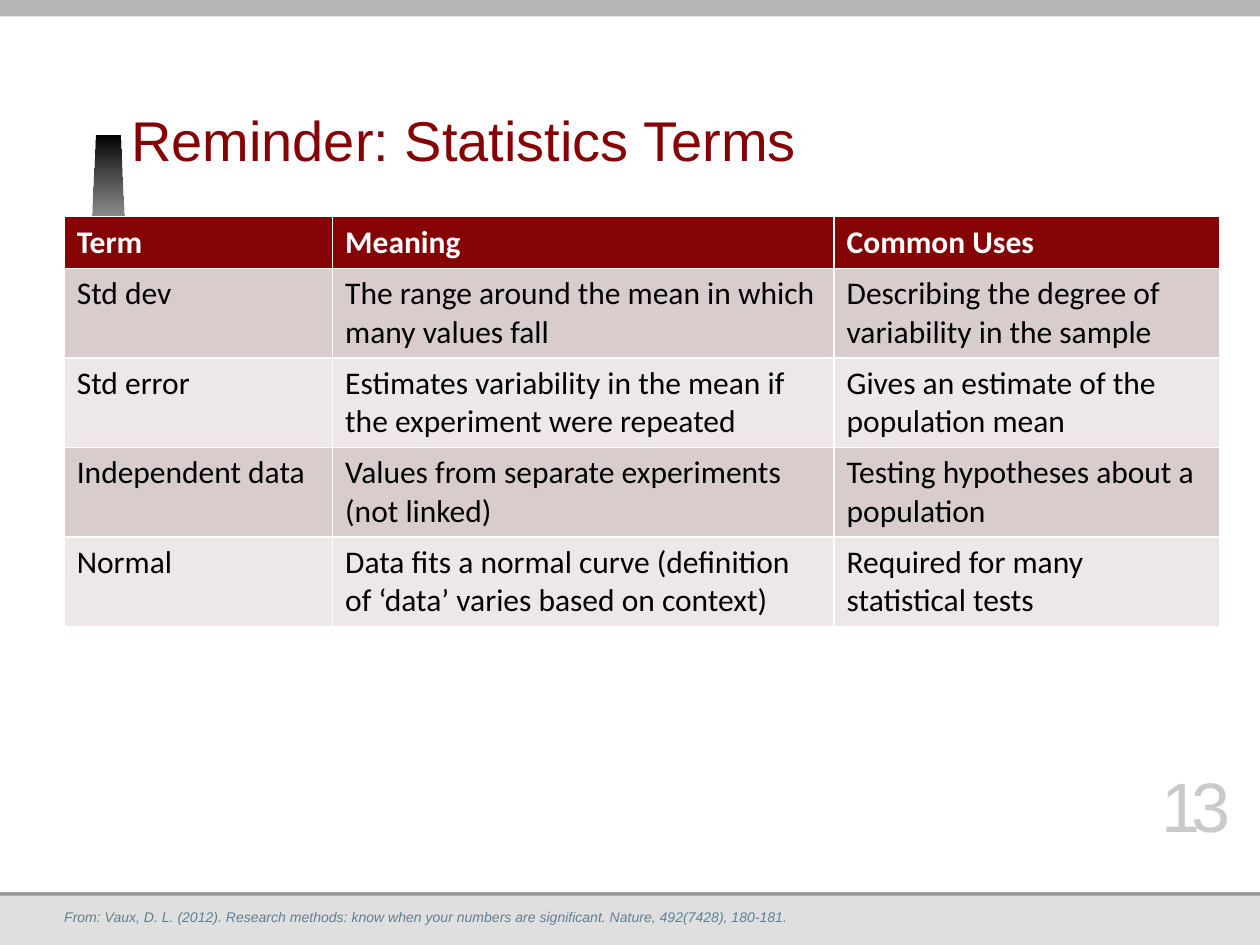
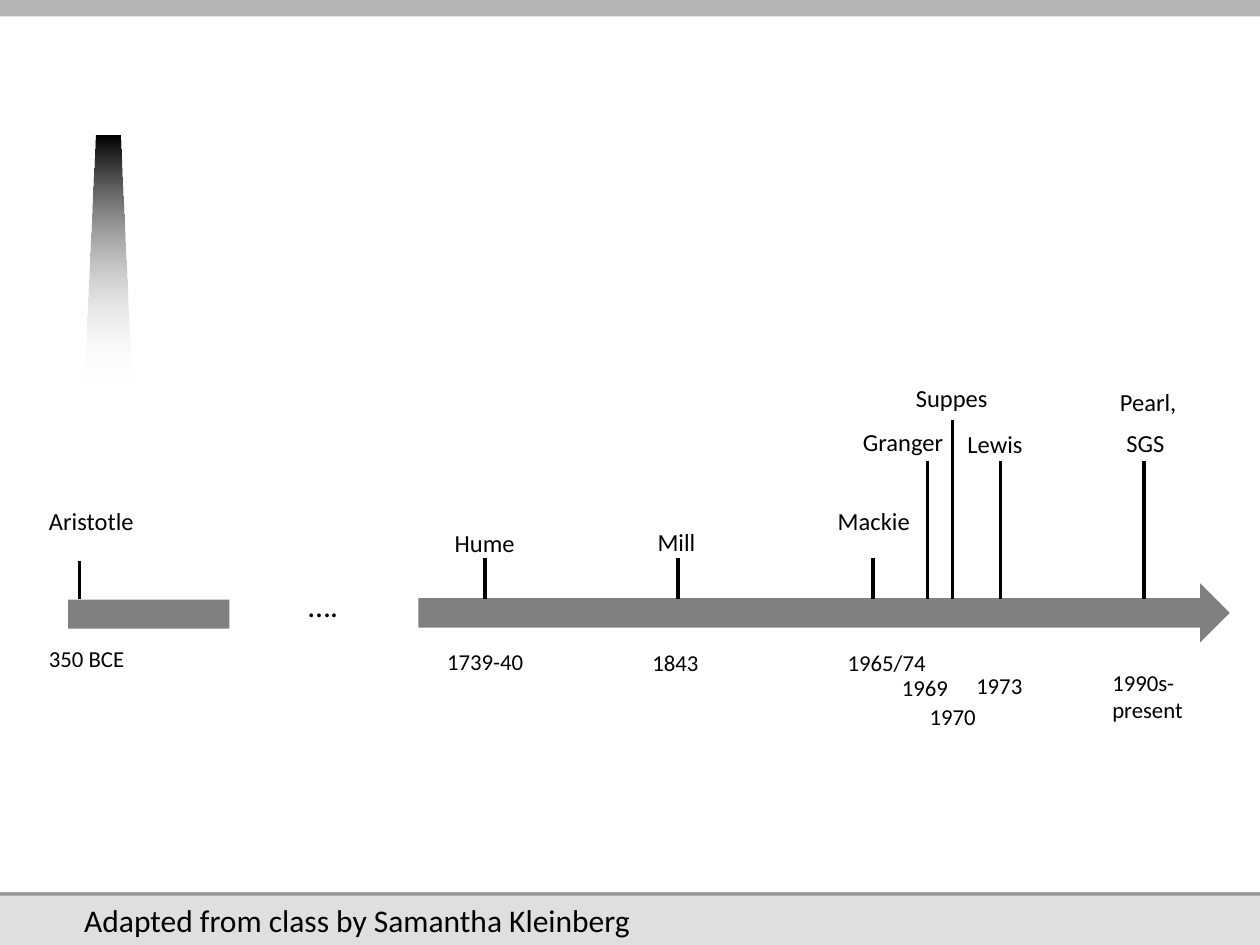
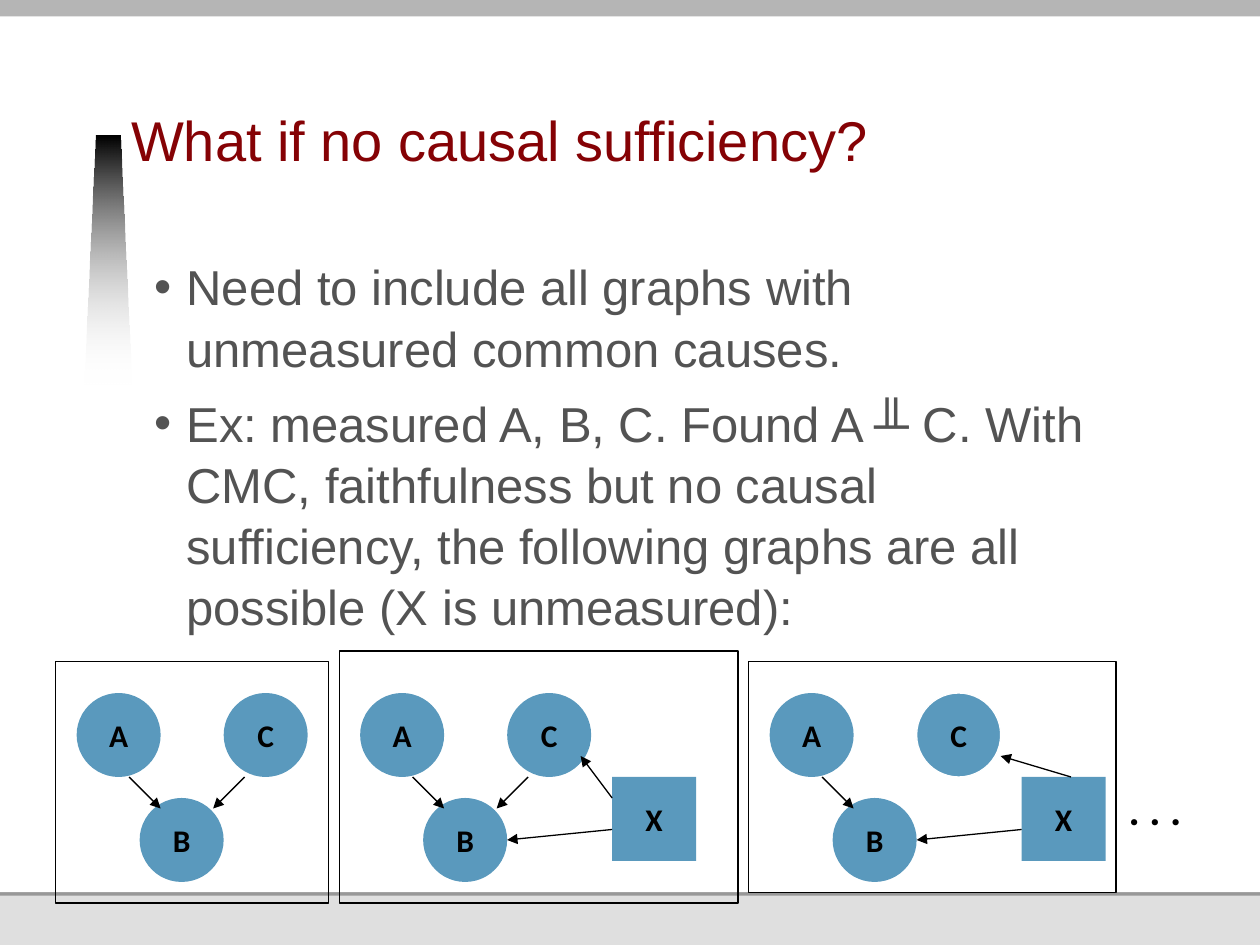
from itertools import accumulate

from pptx import Presentation
from pptx import util as u
from pptx.dml import color
from pptx.enum import shapes, text
from pptx.oxml import ns
from lxml import etree

CELL = u.Inches(0.1)
GRAPH_CELL = u.Inches(1) / 12
BLACK, WHITE, MAROON, GRAY, BLUE = "000000", "FFFFFF", "850205", "808080", "5A99BD"
BODY_GRAY = "535353"
RECTANGLE = shapes.MSO_SHAPE.RECTANGLE
OVAL = shapes.MSO_SHAPE.OVAL

TITLE_BOX = (10.4, 3.4, 68.7, 10.8)
BODY_BOX = (12.3, 20.2, 77.1, 47.9)
BANDS = [
    ((0, 0, 100, 75), "DFDFDF"),
    ((0, 17.8, 100, 53.3), "989898"),
    ((0, 0, 100, 70.8), WHITE),
    ((0, 0, 79, 1.1), "989898"),
]
TOP_BAND = ((0, -0.4, 101.7, 1.7), "B5B5B5")
BEAM = [(6.7, 30.5), (7.6, 10.8), (9.5, 10.8), (10.4, 30.5)]

TERMS = [
    ("Term", "Meaning", "Common Uses"),
    ("Std dev", "The range around the mean in which many values fall",
     "Describing the degree of variability in the sample"),
    ("Std error", "Estimates variability in the mean if the experiment were repeated",
     "Gives an estimate of the population mean"),
    ("Independent data", "Values from separate experiments (not linked)",
     "Testing hypotheses about a population"),
    ("Normal", "Data fits a normal curve (definition of ‘data’ varies based on context)",
     "Required for many statistical tests"),
]
TERM_COLUMNS = (21.3, 39.8, 30.6)
TERM_ROW = 4.1

TICKS = [
    (6.3, 44.5), (38.5, 44.3), (53.8, 44.3), (69.3, 44.3),
    (73.6, 36.6), (75.6, 33.3), (79.4, 36.6), (90.8, 36.6),
]
TICK_BASE = 47.5
THINKERS = [
    ("Aristotle", 2.9, 39.7, 8.9), ("Hume", 35.1, 41.4, 6.8), ("Mill", 51.2, 41.3, 5.1),
    ("Mackie", 65.5, 39.7, 7.8), ("Granger", 67.5, 33.4, 8.5), ("Suppes", 71.7, 29.9, 7.8),
    ("Lewis", 75.8, 33.6, 6.4), ("Pearl,", 87.9, 30.2, 6.6), ("SGS", 88.4, 33.5, 5.1),
]
DATES = [
    ("350 BCE", 2.9, 50.7, 8.1), ("1739-40", 34.5, 50.9, 8.1), ("1843", 50.8, 51, 5.7),
    ("1965/74", 66.3, 51, 8.3), ("1969", 70.6, 53, 5.7), ("1970", 72.8, 55.3, 5.7),
    ("1973", 76.5, 52.8, 5.7), ("1990s-\npresent", 87.3, 52.6, 7.7),
]

NODE_SIZE = 8
NODES = {"A": (2, 3), "B": (8, 13), "C": (16, 3), "X": (26, 11)}
A_TO_B = (7, 11, 10, 14)
C_TO_B = (18, 11, 15, 14)
X_TO_B = (26, 16, 16, 17)
GRAPHS = [
    {"frame": (0, 26, 23), "nodes": "ABC", "edges": [A_TO_B, C_TO_B], "outlined": ""},
    {"frame": (-1, 38, 24), "nodes": "ABCX",
     "edges": [A_TO_B, C_TO_B, (26, 13, 23, 9), X_TO_B], "outlined": ""},
    {"frame": (0, 35, 22), "nodes": "ABCX",
     "edges": [A_TO_B, X_TO_B, (30.7, 11, 24, 9)], "outlined": "C"},
]
GRAPHS_ORIGIN = (5.3, 63)


def rgb(value):
    return color.RGBColor.from_string(value)


def place(box, cell=CELL):
    return [round(length * cell) for length in box]


def apply(target, values):
    for name, value in values.items():
        setattr(target, name, value)


def write(frame, content, size, colour, font="Calibri", margins=None, frame_format=None,
          paragraph_format=None, **font_format):
    if margins is not None:
        sides = ("margin_left", "margin_top", "margin_right", "margin_bottom")
        apply(frame, dict(zip(sides, place(margins))))
    apply(frame, frame_format or {})
    frame.text = content
    for paragraph in frame.paragraphs:
        apply(paragraph, paragraph_format or {})
        for run in paragraph.runs:
            apply(run.font, {"size": u.Pt(size), "name": font, **font_format})
            run.font.color.rgb = rgb(colour)


def add_label(slide, box, content, size, **formats):
    frame = slide.shapes.add_textbox(*place(box)).text_frame
    fitted = {"word_wrap": False, "auto_size": text.MSO_AUTO_SIZE.SHAPE_TO_FIT_TEXT}
    write(frame, content, size, BLACK, frame_format=fitted, **formats)


def add_block(slide, kind, box, fill=None, line=None, cell=CELL):
    shape = slide.shapes.add_shape(kind, *place(box, cell))
    shape.shadow.inherit = False
    if fill:
        shape.fill.solid()
        shape.fill.fore_color.rgb = rgb(fill)
    else:
        shape.fill.background()
    if line:
        shape.line.color.rgb = rgb(line)
        shape.line.width = u.Pt(0.75)
    else:
        shape.line.fill.background()
    return shape


def add_line(slide, ends, width, arrow=False, cell=CELL):
    line = slide.shapes.add_connector(shapes.MSO_CONNECTOR.STRAIGHT, *place(ends, cell))
    line.line.color.rgb = rgb(BLACK)
    line.line.width = u.Pt(width)
    properties = line.element.spPr
    if arrow:
        outline = properties.find(ns.qn("a:ln"))
        etree.SubElement(outline, ns.qn("a:tailEnd"), type="triangle")
    etree.SubElement(properties, ns.qn("a:effectLst"))


def add_beam(slide):
    points = [place(point) for point in BEAM]
    builder = slide.shapes.build_freeform(*points[0], scale=1.0)
    builder.add_line_segments(points[1:], close=True)
    beam = builder.convert_to_shape()
    beam.shadow.inherit = False
    beam.line.fill.background()
    beam.fill.gradient()
    beam.fill.gradient_angle = 270
    for stop, shade in zip(beam.fill.gradient_stops, (BLACK, WHITE)):
        stop.color.rgb = rgb(shade)
    gradient = beam.element.spPr.find(ns.qn("a:gradFill"))
    last = gradient.findall(".//" + ns.qn("a:srgbClr"))[-1]
    etree.SubElement(last, ns.qn("a:alpha"), val="0")
    return beam


def decorate_master(presentation, slide):
    parts = [add_block(slide, RECTANGLE, box, fill) for box, fill in BANDS]
    parts.append(add_beam(slide))
    parts.append(add_block(slide, RECTANGLE, *TOP_BAND))
    tree = presentation.slide_master.element.cSld.spTree
    for part in parts:
        tree.append(part.element)


def position(shape, box):
    apply(shape, dict(zip(("left", "top", "width", "height"), place(box))))


def fill_title(slide, content):
    title = slide.shapes.title
    position(title, TITLE_BOX)
    write(title.text_frame, content, 32, MAROON, "Arial", margins=(0, 0, 0, 0.5),
          frame_format={"vertical_anchor": text.MSO_ANCHOR.BOTTOM,
                        "auto_size": text.MSO_AUTO_SIZE.NONE},
          paragraph_format={"alignment": text.PP_ALIGN.LEFT, "line_spacing": u.Pt(34)})


def fill_body(slide, items):
    body = slide.placeholders[1]
    position(body, BODY_BOX)
    write(body.text_frame, "\n".join(items), 28, BODY_GRAY, "Arial", margins=(0, 0, 0, 0.5),
          frame_format={"auto_size": text.MSO_AUTO_SIZE.NONE},
          paragraph_format={"space_before": u.Pt(0), "space_after": u.Pt(8),
                            "line_spacing": 1.04})
    indent = u.Inches(0.25)
    for paragraph in body.text_frame.paragraphs:
        properties = paragraph._p.get_or_add_pPr()
        properties.set("marL", str(indent))
        properties.set("indent", str(-indent))


def add_terms_table(slide, left, top):
    box = (left, top, sum(TERM_COLUMNS), TERM_ROW * len(TERMS))
    table = slide.shapes.add_table(len(TERMS), len(TERM_COLUMNS), *place(box)).table
    for column, width in zip(table.columns, place(TERM_COLUMNS)):
        column.width = width
    for row, entries in enumerate(TERMS):
        header = row == 0
        fill = MAROON if header else ("EDE7E7", "D9CCCC")[row % 2]
        for column, entry in enumerate(entries):
            cell = table.cell(row, column)
            cell.fill.solid()
            cell.fill.fore_color.rgb = rgb(fill)
            write(cell.text_frame, entry, 18, WHITE if header else BLACK, bold=header)


def add_citation(slide, box, content):
    frame = slide.shapes.add_textbox(*place(box)).text_frame
    write(frame, content, 8, "618091", "Arial", margins=(0, 0, 0, 0),
          frame_format={"word_wrap": True}, italic=True)


def add_page_number(slide, box, number):
    frame = slide.shapes.add_textbox(*place(box)).text_frame
    write(frame, number, 40, "CACACA", "Arial", margins=(0, 0, 0, 0),
          frame_format={"word_wrap": True, "vertical_anchor": text.MSO_ANCHOR.BOTTOM},
          paragraph_format={"alignment": text.PP_ALIGN.CENTER})
    frame.paragraphs[0].runs[0]._r.get_or_add_rPr().set("spc", "-500")


def add_timeline(slide):
    add_block(slide, shapes.MSO_SHAPE.RIGHT_ARROW, (33.2, 46.3, 64.4, 4.7), GRAY)
    for x, top in TICKS:
        add_line(slide, (x, TICK_BASE, x, top), 2)
    for labels, size, height in ((THINKERS, 14, 3.4), (DATES, 13, 3.2)):
        for content, left, top, width in labels:
            lines = content.count("\n")
            add_label(slide, (left, top, width, height + 2.2 * lines), content, size)
    add_block(slide, RECTANGLE, (5.4, 47.6, 12.8, 2.3), GRAY)
    add_label(slide, (23.5, 46, 4.4, 4), "….", 18)


def add_graph(slide, left, top, graph):
    for name in graph["nodes"]:
        x, y = NODES[name]
        node = add_block(slide, RECTANGLE if name == "X" else OVAL,
                         (left + x, top + y, NODE_SIZE, NODE_SIZE), BLUE,
                         WHITE if name in graph["outlined"] else None, GRAPH_CELL)
        write(node.text_frame, name, 18, BLACK, bold=True,
              frame_format={"word_wrap": False, "vertical_anchor": text.MSO_ANCHOR.MIDDLE},
              paragraph_format={"alignment": text.PP_ALIGN.CENTER})
    for x1, y1, x2, y2 in graph["edges"]:
        ends = (left + x1, top + y1, left + x2, top + y2)
        add_line(slide, ends, 0.75, arrow=True, cell=GRAPH_CELL)
    rise, width, height = graph["frame"]
    add_block(slide, RECTANGLE, (left, top + rise, width, height), None, BLACK, GRAPH_CELL)


def add_graph_row(slide):
    left, top = GRAPHS_ORIGIN
    steps = accumulate((graph["frame"][1] + 1 for graph in GRAPHS[:-1]), initial=left)
    for start, graph in zip(steps, GRAPHS):
        add_graph(slide, start, top, graph)
    add_label(slide, (88.6, 61.7, 7.5, 5), ". . .", 24, bold=True)


def build_terms_slide(slide):
    fill_title(slide, "Reminder: Statistics Terms")
    add_terms_table(slide, 5.1, 17.2)
    add_citation(slide, (5.1, 72.1, 84.3, 1.9),
                 "From: Vaux, D. L. (2012). Research methods: know when your numbers are "
                 "significant. Nature, 492(7428), 180-181.")
    add_page_number(slide, (91.3, 61.6, 7.3, 5.6), "13")


def build_timeline_slide(slide):
    add_timeline(slide)
    add_label(slide, (5.7, 71, 45.9, 4), "Adapted from class by Samantha Kleinberg", 18)


def build_graphs_slide(slide):
    fill_title(slide, "What if no causal sufficiency?")
    fill_body(slide, [
        "Need to include all graphs with unmeasured common causes.",
        "Ex: measured A, B, C. Found A ╨ C. With CMC, faithfulness but no causal "
        "sufficiency, the following graphs are all possible (X is unmeasured):",
    ])
    add_graph_row(slide)


def main():
    presentation = Presentation()
    presentation.slide_width, presentation.slide_height = place((100, 75))
    layouts = presentation.slide_layouts
    terms, timeline, graphs = [
        presentation.slides.add_slide(layouts.get_by_name(name))
        for name in ("Title Only", "Blank", "Title and Content")
    ]
    decorate_master(presentation, terms)
    build_terms_slide(terms)
    build_timeline_slide(timeline)
    build_graphs_slide(graphs)
    presentation.save("out.pptx")


if __name__ == "__main__":
    main()
